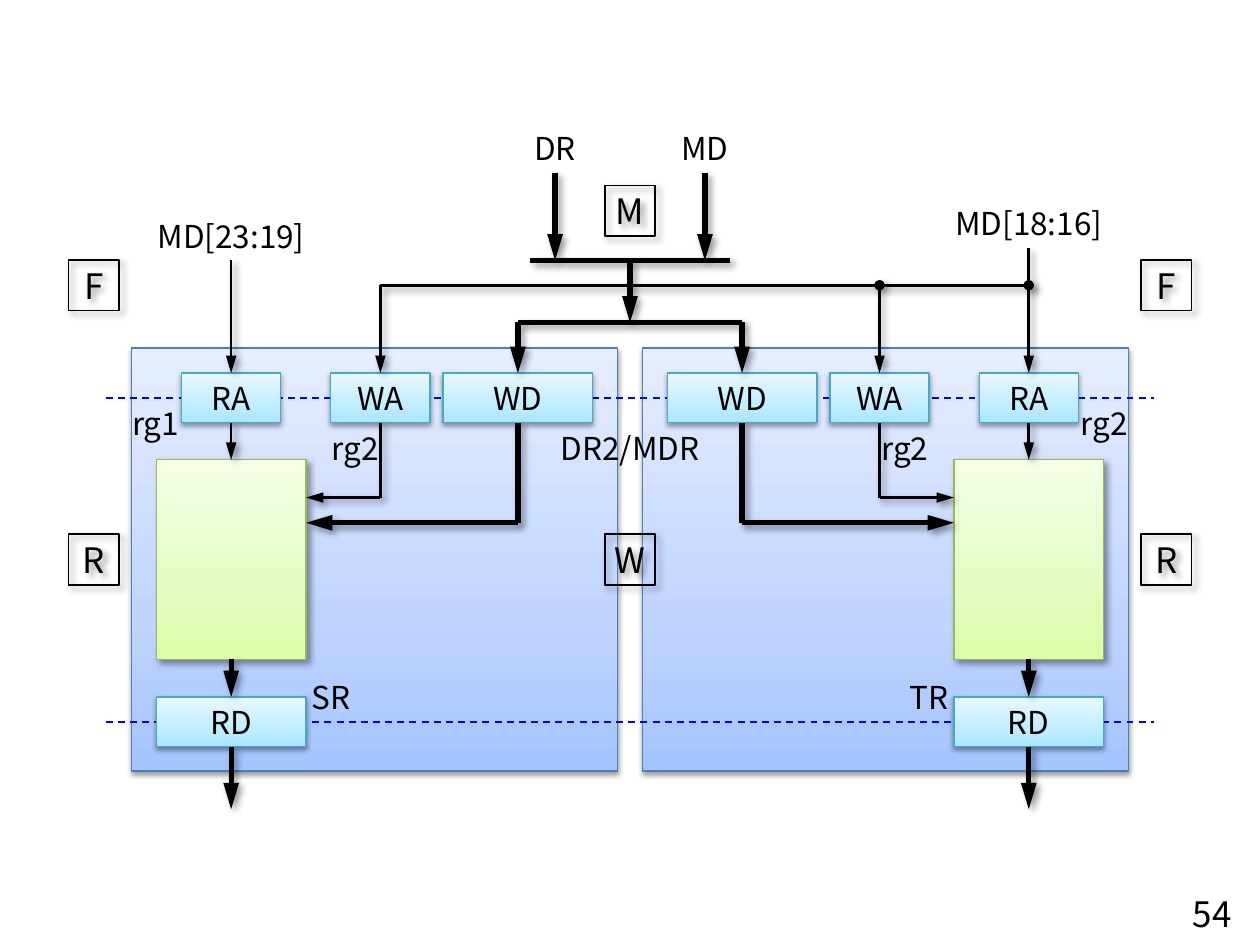
import copy
import pptx
import pptx.util
import pptx.dml.color
import pptx.enum.dml
import pptx.enum.shapes
import pptx.enum.text
import pptx.oxml.ns
from lxml import etree

Cm, Pt = pptx.util.Cm, pptx.util.Pt
rgb = pptx.dml.color.RGBColor.from_string
qn = pptx.oxml.ns.qn
FONT = "Noto Sans CJK JP"
BLUE = ("A4C4FF", "BFD4FF", "E6EEFF")
CYAN = ("A7E6FF", "C1EDFF", "E7F8FF")
GREEN = ("DAFDA7", "E4FCC2", "F5FFE7")
# Shadow: opacity %, blur pt, distance pt, direction in degrees
SOFT, DEEP = (38, 3.1, 1.6, 90), (40, 4, 3, 45)
THIN, THICK = 1.5, 3

prs = pptx.Presentation()
prs.slide_width, prs.slide_height = Cm(25.4), Cm(19.05)
s = prs.slides.add_slide(prs.slide_layouts[6])
shadows = []


def box(cx, cy, w, h, text="", size=18, grad=None, line=None, shadow=None):
    """Add a box by its centre; without a line colour it is a plain label."""
    at = Cm(cx - w / 2), Cm(cy - h / 2), Cm(w), Cm(h)
    if line:
        sp = s.shapes.add_shape(pptx.enum.shapes.MSO_SHAPE.RECTANGLE, *at)
        sp.line.color.rgb = rgb(line)
        sp.line.width = Pt(0.75 if grad else 1)
        sp.shadow.inherit = False
        shadows.append((sp, shadow))
    else:
        sp = s.shapes.add_textbox(*at)
    if grad:
        sp.fill.gradient()
        sp.fill.gradient_angle = 90
        stops = sp._element.spPr.find(".//" + qn("a:gsLst"))
        stops.insert(1, copy.deepcopy(stops[0]))
        for stop, pos, colour in zip(sp.fill.gradient_stops, (0, 0.35, 1), grad):
            stop.position, stop.color.rgb = pos, rgb(colour)
    else:
        sp.fill.background()
    if text:
        tf = sp.text_frame
        tf.word_wrap = False
        tf.margin_left = tf.margin_right = 0
        tf.vertical_anchor = pptx.enum.text.MSO_ANCHOR.MIDDLE
        p = tf.paragraphs[0]
        p.text = text
        p.alignment = pptx.enum.text.PP_ALIGN.CENTER
        p.font.name, p.font.size = FONT, Pt(size)
        p.font.color.rgb = rgb("000000")
    return sp


def wire(x1, y1, x2, y2, width, tail=True, head=False, colour="000000", shadow=DEEP):
    """Add a straight line, with an arrow at its end and a dot at its start."""
    c = s.shapes.add_connector(pptx.enum.shapes.MSO_CONNECTOR.STRAIGHT,
                               Cm(x1), Cm(y1), Cm(x2), Cm(y2))
    c.line.color.rgb = rgb(colour)
    c.line.width = Pt(width)
    ln = c.line._get_or_add_ln()
    if head:
        etree.SubElement(ln, qn("a:headEnd"), type="oval")
    if tail:
        etree.SubElement(ln, qn("a:tailEnd"), type="triangle", w="med", len="lg")
    etree.SubElement(c._element.spPr, qn("a:effectLst"))
    shadows.append((c, shadow))
    return c


# Everything is mirrored about the middle of the slide
MID = 12.7
RA, WA, WD = 8.04, 5.03, 2.26        # distances from the middle
MEM = RA - 1.51                      # inner side of a register file
MUX, BUS, SPLIT = 5.25, 5.75, 6.5
PORT, MEM_Y, RD = 8.02, 11.28, 14.55  # row centres

# Background panels
for side in (-1, 1):
    box(MID + side * 5.15, 11.28, 9.8, 8.53, grad=BLUE, line="4B7EBC", shadow=SOFT)

# Clock boundaries
for y in (PORT, RD):
    c = wire(2.13, y, 23.27, y, 1, tail=False, colour="0000FF", shadow=None)
    c.line.dash_style = pptx.enum.dml.MSO_LINE.DASH

# The two register files with ports and wiring
for side, source_y in ((-1, MUX), (1, 5.0)):
    ra, wa, wd, mem = (MID + side * d for d in (RA, WA, WD, MEM))
    port = {"grad": CYAN, "line": "46AAC5", "shadow": SOFT}
    ra_box = box(ra, PORT, 2, 1, "RA", **port)
    wa_box = box(wa, PORT, 2, 1, "WA", **port)
    wd_box = box(wd, PORT, 3.02, 1, "WD", **port)
    rd_box = box(ra, RD, 3.02, 1, "RD", **port)
    mem_box = box(ra, MEM_Y, 3.02, 4.02, grad=GREEN, line="98B955", shadow=DEEP)

    # Read path, top to bottom
    wire(ra, source_y, ra, 7.52, THIN).end_connect(ra_box, 0)
    c = wire(ra, 8.52, ra, 9.27, THIN)
    c.begin_connect(ra_box, 2)
    c.end_connect(mem_box, 0)
    c = wire(ra, 13.29, ra, 14.05, THICK)
    c.begin_connect(mem_box, 2)
    c.end_connect(rd_box, 0)
    wire(ra, 15.05, ra, 16.31, THICK).begin_connect(rd_box, 2)

    # Write address and write data
    wire(wa, BUS, wa, 7.52, THIN, head=side > 0).end_connect(wa_box, 0)
    wire(wd, SPLIT, wd, 7.52, THICK).end_connect(wd_box, 0)
    for x, y, width, start in ((wa, 10.03, THIN, wa_box), (wd, 10.54, THICK, wd_box)):
        wire(x, 8.52, x, y, width, tail=False).begin_connect(start, 2)
        wire(x, y, mem, y, width)

    # Input of the multiplexer
    wire(MID + side * 1.51, 3.48, MID + side * 1.51, MUX, THICK)

# Multiplexer, its output and the shared address line
wire(MID - 2.01, MUX, MID + 2.01, MUX, THICK, tail=False)
wire(MID, MUX, MID, SPLIT, THICK)
wire(MID - WD, SPLIT, MID + WD, SPLIT, THICK, tail=False)
wire(MID + RA, BUS, MID - WA, BUS, THIN, tail=False, head=True)

# Signal labels: distance from the middle, height, text
for dx, y, text in ((-1.51, 2.99, "DR"), (1.51, 2.99, "MD"),
                    (-RA, 4.76, "MD[23:19]"), (RA, 4.5, "MD[18:16]"),
                    (-9.56, 8.53, "rg1"), (9.56, 8.53, "rg2"),
                    (-5.54, 9.04, "rg2"), (5.54, 9.04, "rg2"),
                    (0, 9.04, "DR2/MDR"),
                    (-6.03, 14.04, "SR"), (6.03, 14.04, "TR")):
    box(MID + dx, y, 4 if len(text) > 3 else 1.2, 1, text)

# Stage tags
for dx, y, text in ((0, 4.25, "M"), (0, MEM_Y, "W"),
                    (-10.81, BUS, "F"), (10.81, BUS, "F"),
                    (-10.81, MEM_Y, "R"), (10.81, MEM_Y, "R")):
    box(MID + dx, y, 1.02, 1.02, text, 20, line="000000", shadow=DEEP)

# Page number
sp = box(24.1, 18.42, 1.47, 1.27, "54", 20)
sp.text_frame.paragraphs[0].alignment = pptx.enum.text.PP_ALIGN.RIGHT

# Shadows
for sp, shadow in shadows:
    if shadow:
        opacity, blur, dist, angle = shadow
        outer = etree.SubElement(sp._element.spPr.find(qn("a:effectLst")), qn("a:outerShdw"),
                                 blurRad=str(Pt(blur)), dist=str(Pt(dist)),
                                 dir=str(angle * 60000), rotWithShape="0")
        black = etree.SubElement(outer, qn("a:srgbClr"), val="000000")
        etree.SubElement(black, qn("a:alpha"), val=str(opacity * 1000))

prs.save("out.pptx")
